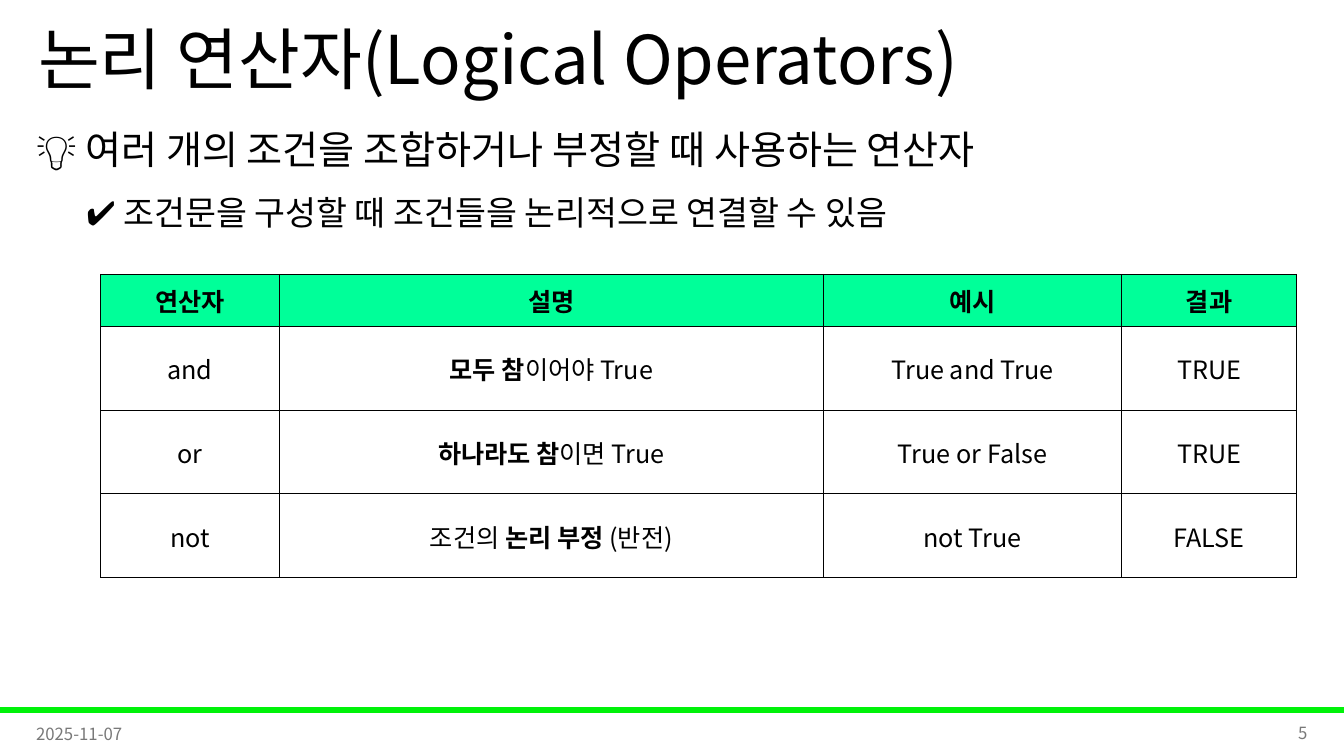
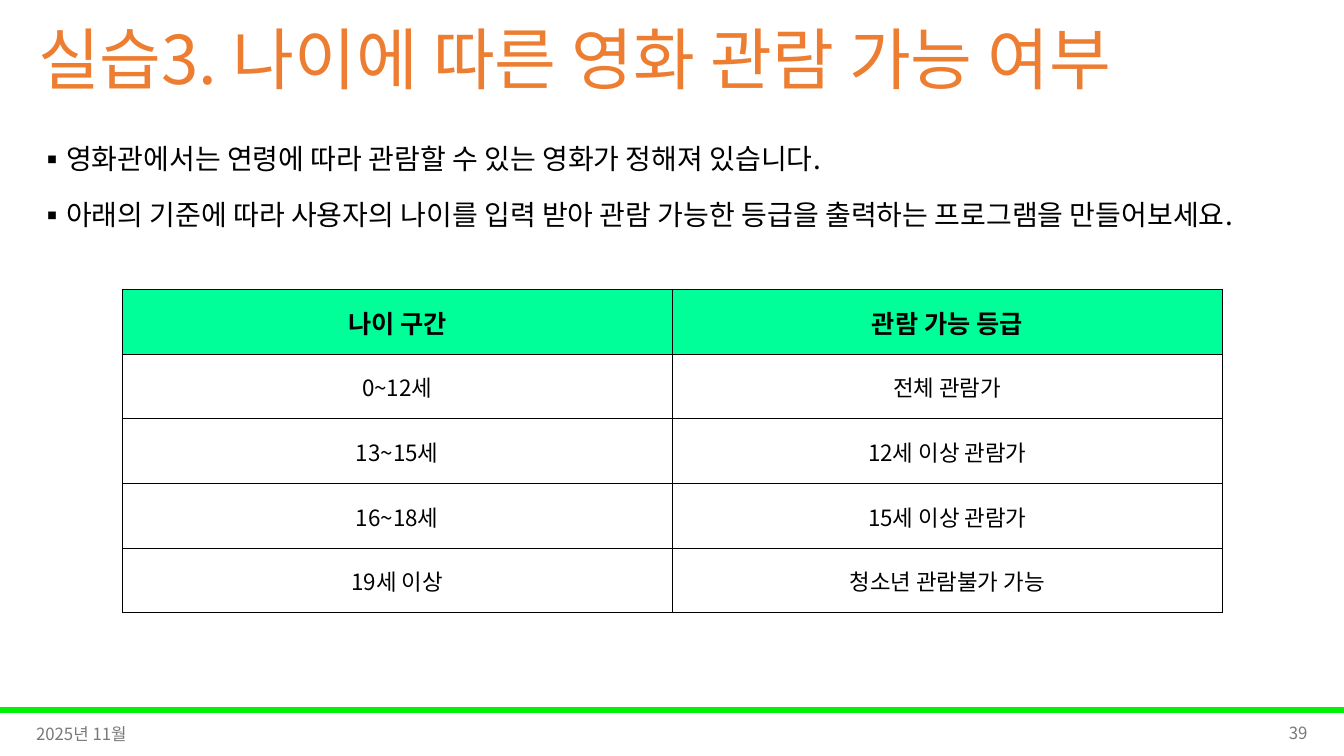
from lxml import etree
from pptx import Presentation
from pptx.dml.color import RGBColor
from pptx.enum.shapes import MSO_SHAPE as SHAPE
from pptx.enum.text import MSO_ANCHOR as ANCHOR, PP_ALIGN as ALIGN
from pptx.oxml.ns import qn
from pptx.util import Cm, Pt

FONT = "Noto Sans CJK KR"
BLACK, GRAY, ORANGE = "000000", "797979", "ED7D31"
BAND, HEAD = "00F209", "00FF99"
WIDTH, HEIGHT = 33.87, 19.05
BODY_SPACING = 1.3


def rgb(value):
    return RGBColor.from_string(value)


def write(p, runs, size=18, color=BLACK, bold=False, align=ALIGN.LEFT,
          spacing=1.0, before=0, left=0, bullet=None):
    """Fill a paragraph; runs is a string or a list of (text, bold)."""
    pPr = p._p.get_or_add_pPr()
    if left:
        pPr.set("marL", str(Cm(left)))
    if bullet:
        pPr.set("indent", str(-Cm(left)))
        etree.SubElement(pPr, qn("a:buFont"), typeface=FONT)
        etree.SubElement(pPr, qn("a:buChar"), char=bullet)
    p.alignment, p.line_spacing, p.space_before = align, spacing, Pt(before)
    for text, strong in [(runs, bold)] if isinstance(runs, str) else runs:
        r = p.add_run()
        r.text = text
        r.font.name, r.font.size, r.font.bold = FONT, Pt(size), strong
        r.font.color.rgb = rgb(color)
        etree.SubElement(r._r.get_or_add_rPr(), qn("a:ea"), typeface=FONT)


def text_box(s, box, paragraphs, anchor=ANCHOR.MIDDLE):
    """Add a box holding (runs, format) paragraphs."""
    tf = s.shapes.add_textbox(*map(Cm, box)).text_frame
    tf.word_wrap, tf.vertical_anchor = True, anchor
    for i, (runs, fmt) in enumerate(paragraphs):
        p = tf.add_paragraph() if i else tf.paragraphs[0]
        write(p, runs, **fmt)


def frame(s, title, date, number, color=BLACK):
    """Title, band and footer of every slide."""
    band = s.shapes.add_shape(SHAPE.RECTANGLE, Cm(0), Cm(17.83), Cm(WIDTH), Cm(0.13))
    band.shadow.inherit = False
    band.fill.solid()
    band.fill.fore_color.rgb = band.line.color.rgb = rgb(BAND)
    band.line.width = Pt(1)
    text_box(s, (0.71, 0, 29.21, 3.18),
             [(title, dict(size=48, color=color, spacing=0.9))])
    for left, top, text, align in ((0.66, 17.98, date, ALIGN.LEFT),
                                   (25.58, 17.96, number, ALIGN.RIGHT)):
        text_box(s, (left, top, 7.62, 1.02),
                 [(text, dict(size=12, color=GRAY, align=align))])


def style_cell(cell, fill):
    tcPr = cell._tc.get_or_add_tcPr()
    for side in "LRTB":
        ln = etree.SubElement(tcPr, qn(f"a:ln{side}"), w=str(Pt(0.5)))
        solid = etree.SubElement(ln, qn("a:solidFill"))
        etree.SubElement(solid, qn("a:srgbClr"), val=BLACK)
    if fill:
        cell.fill.solid()
        cell.fill.fore_color.rgb = rgb(fill)
    else:
        cell.fill.background()
    cell.margin_left = cell.margin_right = cell.margin_top = Cm(0.03)
    cell.margin_bottom = 0
    cell.vertical_anchor = ANCHOR.MIDDLE


def grid(s, left, top, widths, heights, rows, size):
    """Bordered table whose first row is the header."""
    table = s.shapes.add_table(len(rows), len(widths), Cm(left), Cm(top),
                               Cm(sum(widths)), Cm(sum(heights))).table
    table.first_row = table.horz_banding = False
    for col, width in zip(table.columns, widths):
        col.width = Cm(width)
    for i, (row, height) in enumerate(zip(rows, heights)):
        table.rows[i].height = Cm(height)
        for j, runs in enumerate(row):
            cell = table.cell(i, j)
            style_cell(cell, None if i else HEAD)
            write(cell.text_frame.paragraphs[0], runs, size=size if i else 18,
                  bold=not i, align=ALIGN.CENTER)


def operators_slide(s):
    frame(s, "논리 연산자(Logical Operators)", "2025-11-07", "5")
    text_box(s, (0.66, 2.69, 32.51, 4.22), [
        ("💡 여러 개의 조건을 조합하거나 부정할 때 사용하는 연산자",
         dict(size=28, spacing=BODY_SPACING)),
        ("✔️ 조건문을 구성할 때 조건들을 논리적으로 연결할 수 있음",
         dict(size=24, spacing=BODY_SPACING, before=5, left=1.27)),
    ], ANCHOR.TOP)
    grid(s, 2.54, 6.91, (4.5, 13.71, 7.52, 4.4), [1.31] + [2.11] * 3, [
        ("연산자", "설명", "예시", "결과"),
        ("and", [("모두 참", True), ("이어야 True", False)], "True and True", "TRUE"),
        ("or", [("하나라도 참", True), ("이면 True", False)], "True or False", "TRUE"),
        ("not", [("조건의 ", False), ("논리 부정 ", True), ("(반전)", False)],
         "not True", "FALSE"),
    ], size=18)


def practice_slide(s):
    frame(s, "실습3. 나이에 따른 영화 관람 가능 여부", "2025년 11월", "39", ORANGE)
    item = dict(size=20, spacing=BODY_SPACING, left=0.63, bullet="▪")
    text_box(s, (0.71, 3.18, 32.33, 3.71), [
        ("영화관에서는 연령에 따라 관람할 수 있는 영화가 정해져 있습니다.", item),
        ("아래의 기준에 따라 사용자의 나이를 입력 받아 관람 가능한 등급을 "
         "출력하는 프로그램을 만들어보세요.", dict(item, before=9)),
    ], ANCHOR.TOP)
    grid(s, 3.08, 7.29, [13.86] * 2, [1.63] * 5, [
        ("나이 구간", "관람 가능 등급"),
        ("0~12세", "전체 관람가"),
        ("13~15세", "12세 이상 관람가"),
        ("16~18세", "15세 이상 관람가"),
        ("19세 이상", "청소년 관람불가 가능"),
    ], size=16)


def main():
    prs = Presentation()
    prs.slide_width, prs.slide_height = Cm(WIDTH), Cm(HEIGHT)
    for build in (operators_slide, practice_slide):
        build(prs.slides.add_slide(prs.slide_layouts[6]))
    prs.save("out.pptx")


if __name__ == "__main__":
    main()
